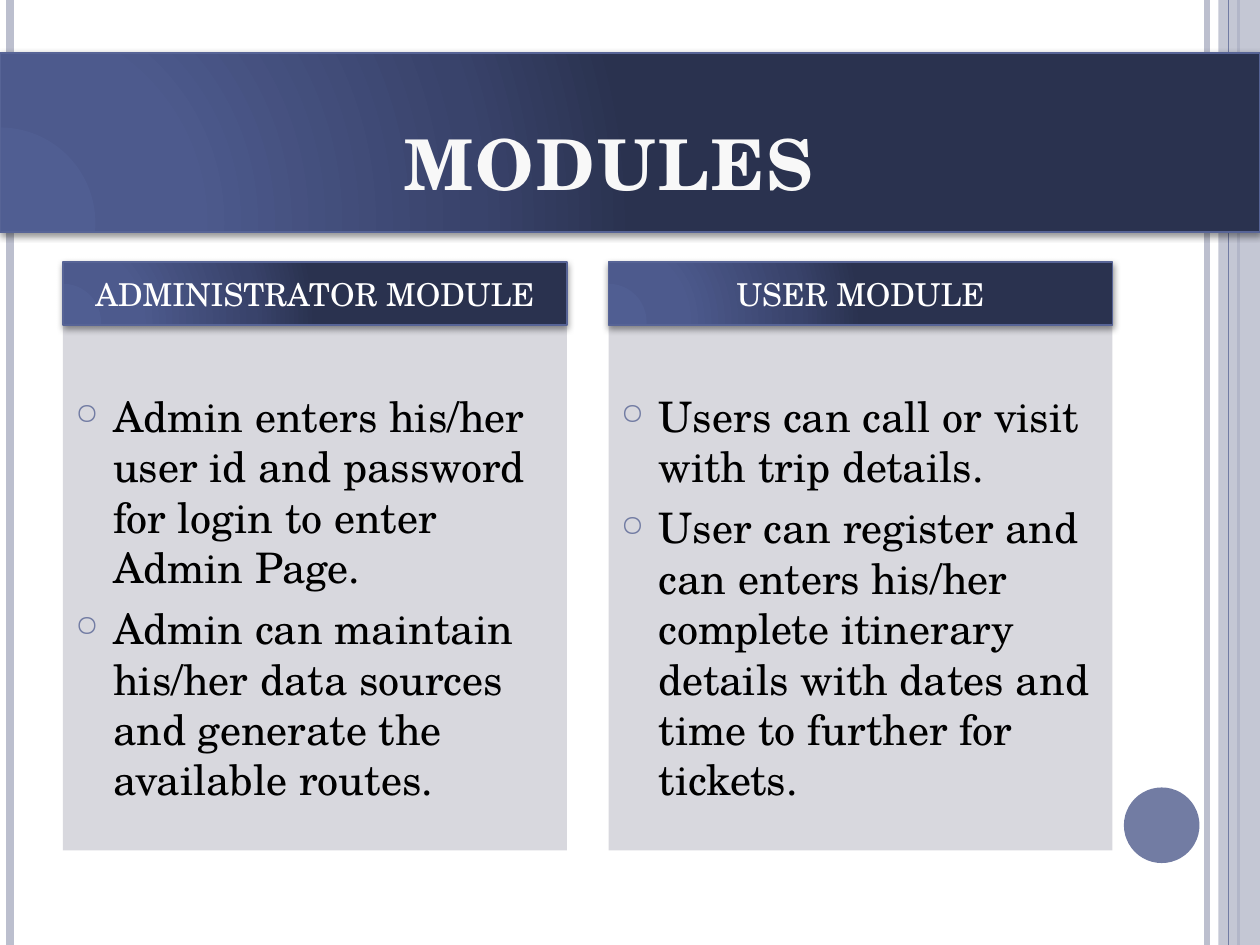
from dataclasses import dataclass

from lxml import etree
from pptx import Presentation
from pptx.dml.color import RGBColor
from pptx.enum import shapes, text
from pptx.oxml import ns
from pptx.util import Inches, Pt


@dataclass
class Theme:
    font: str = "TeX Gyre Schola"
    pale: str = "BCBFCE"
    blue: str = "727CA3"
    edge: str = "576496"
    panel: str = "D8D8DE"
    light: str = "F8F8F8"
    white: str = "FFFFFF"
    black: str = "000000"
    grade: tuple = ((0, "505E92"), (30, "4D5A8D"), (75, "39436B"), (100, "2A324F"))
    title: int = 40
    body: int = 24
    head: int = 18


theme = Theme()
rgb = RGBColor.from_string
space = f'xmlns:a="{ns.nsuri("a")}"'
deck = Presentation()
deck.slide_width, deck.slide_height = Inches(10), Inches(7.5)
slide = deck.slides.add_slide(deck.slide_layouts[6])


def block(kind, left, top, width, height, fill=None):
    shape = slide.shapes.add_shape(
        kind, Inches(left), Inches(top), Inches(width), Inches(height))
    shape.shadow.inherit = False
    if fill:
        shape.fill.solid()
        shape.fill.fore_color.rgb = rgb(fill)
        shape.line.fill.background()
        return shape
    shape.line.color.rgb = rgb(theme.edge)
    shape.line.width = Pt(1)
    stops = "".join(f'<a:gs pos="{pos * 1000}"><a:srgbClr val="{tone}"/></a:gs>'
                    for pos, tone in theme.grade)
    props = shape.element.spPr
    props.find(ns.qn("a:prstGeom")).addnext(etree.fromstring(
        f'<a:gradFill {space} rotWithShape="1"><a:gsLst>{stops}</a:gsLst>'
        '<a:path path="circle"><a:fillToRect l="5000" t="100000" r="120000" b="10000"/>'
        '</a:path></a:gradFill>'))
    props.find(ns.qn("a:effectLst")).append(etree.fromstring(
        f'<a:outerShdw {space} blurRad="{Pt(4)}" dist="{Pt(1.6)}" dir="5400000" '
        f'rotWithShape="0"><a:srgbClr val="{theme.black}"><a:alpha val="42000"/>'
        '</a:srgbClr></a:outerShdw>'))
    return shape


def style(para, words, size, tone, align):
    para.text = words
    para.alignment = align
    para.font.name = theme.font
    para.font.size = Pt(size)
    para.font.color.rgb = rgb(tone)


rect = shapes.MSO_SHAPE.RECTANGLE
center = text.PP_ALIGN.CENTER

for left, tone, width in (
    (9.58, theme.pale, 3),
    (0.08, theme.pale, 4.5),
    (9.83, theme.blue, 1.5),
    (9.75, theme.blue, 0.75),
):
    if left == 9.75:
        strip = block(rect, 9.67, 0, 0.33, 7.5, theme.pale)
    rule = slide.shapes.add_connector(
        shapes.MSO_CONNECTOR.STRAIGHT, Inches(left), 0, Inches(left), Inches(7.5))
    rule.line.color.rgb = rgb(tone)
    rule.line.width = Pt(width)
    etree.SubElement(rule.element.spPr, ns.qn("a:effectLst"))

tint = strip.element.spPr.find(ns.qn("a:solidFill"))[0]
etree.SubElement(tint, ns.qn("a:alpha"), val="87000")
block(shapes.MSO_SHAPE.OVAL, 8.92, 6.25, 0.6, 0.6, theme.blue)
block(rect, 0, 0.42, 10, 1.42)

frame = slide.shapes.add_textbox(
    Inches(0.75), Inches(0.42), Inches(8.17), Inches(1.25)).text_frame
frame.word_wrap = True
frame.vertical_anchor = text.MSO_ANCHOR.BOTTOM
para = frame.paragraphs[0]
style(para, "MODULES", theme.title, theme.light, center)
para.font.bold = True
para.runs[0].font._element.set("spc", "150")

for left, head, items in (
    (0.5, "ADMINISTRATOR MODULE", (
        "Admin enters his/her user id and password for login to enter Admin Page.",
        "Admin can maintain his/her data sources and generate the available routes.")),
    (4.83, "USER MODULE", (
        "Users can call or visit with trip details.",
        "User can register and can enters his/her complete itinerary details "
        "with dates and time to further for tickets.")),
):
    frame = block(rect, left, 2.08, 4, 4.67, theme.panel).text_frame
    frame.word_wrap = True
    frame.vertical_anchor = text.MSO_ANCHOR.TOP
    frame.margin_top = Inches(1.02)
    for rank, item in enumerate(items):
        para = frame.add_paragraph() if rank else frame.paragraphs[0]
        if rank:
            para.space_before = Pt(6)
        props = para._p.get_or_add_pPr()
        props.set("marL", str(Inches(0.3)))
        props.set("indent", str(Inches(-0.3)))
        tint = etree.SubElement(props, ns.qn("a:buClr"))
        etree.SubElement(tint, ns.qn("a:srgbClr"), val=theme.blue)
        etree.SubElement(props, ns.qn("a:buSzPct"), val="70000")
        etree.SubElement(props, ns.qn("a:buChar"), char="○")
        style(para, item, theme.body, theme.black, text.PP_ALIGN.LEFT)

    frame = block(rect, left, 2.08, 4, 0.5).text_frame
    frame.word_wrap = True
    frame.vertical_anchor = text.MSO_ANCHOR.MIDDLE
    style(frame.paragraphs[0], head, theme.head, theme.white, center)

deck.save("out.pptx")
